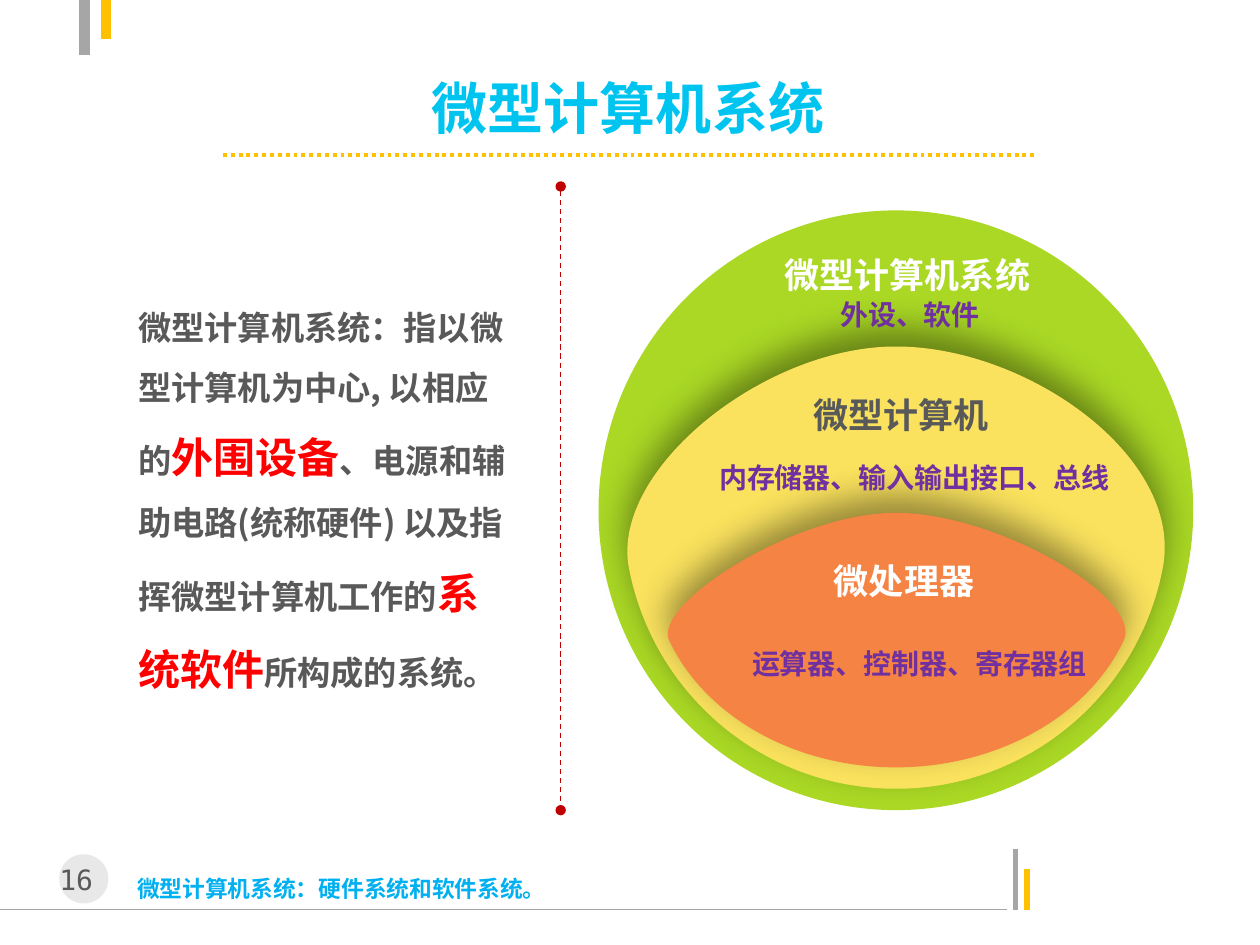
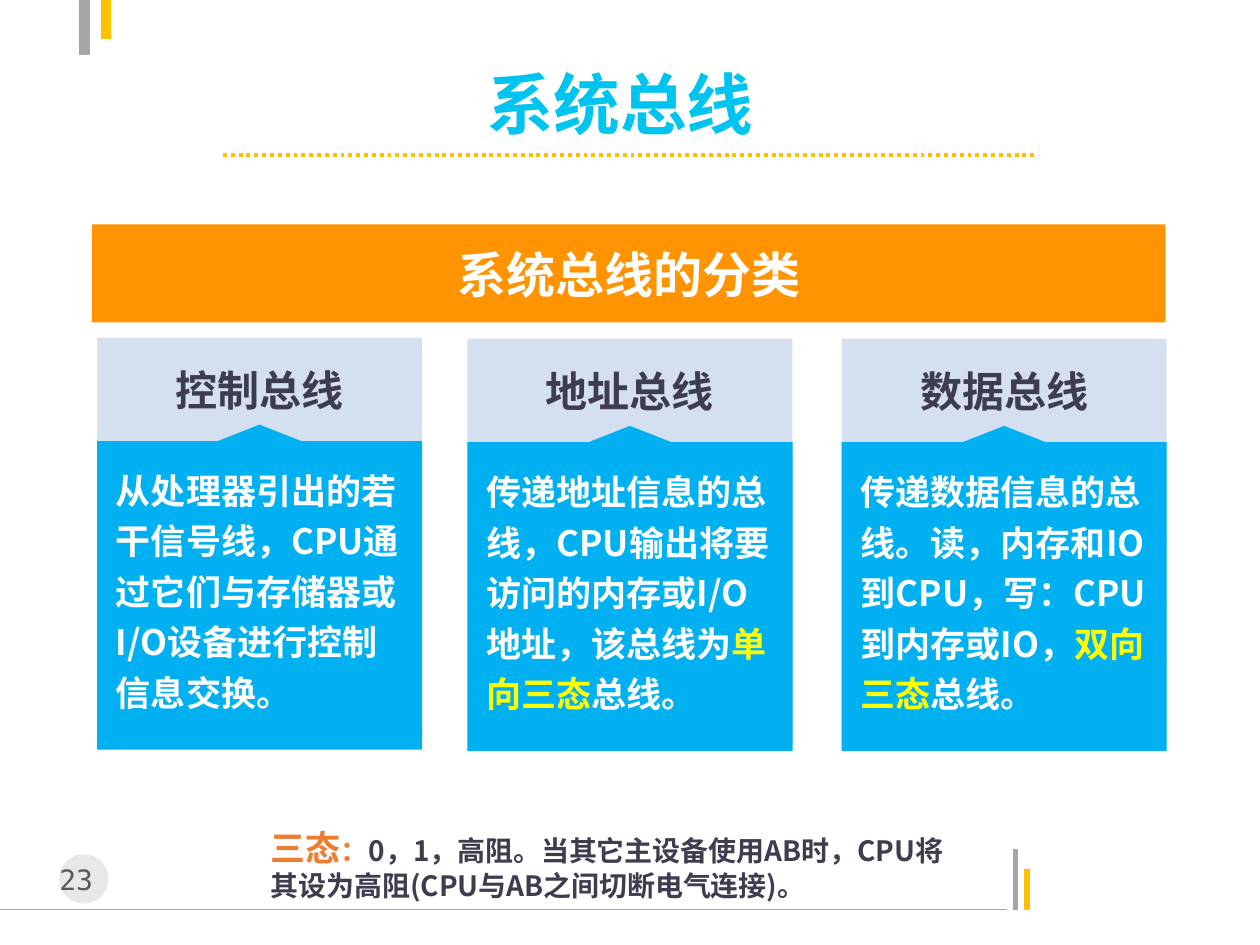
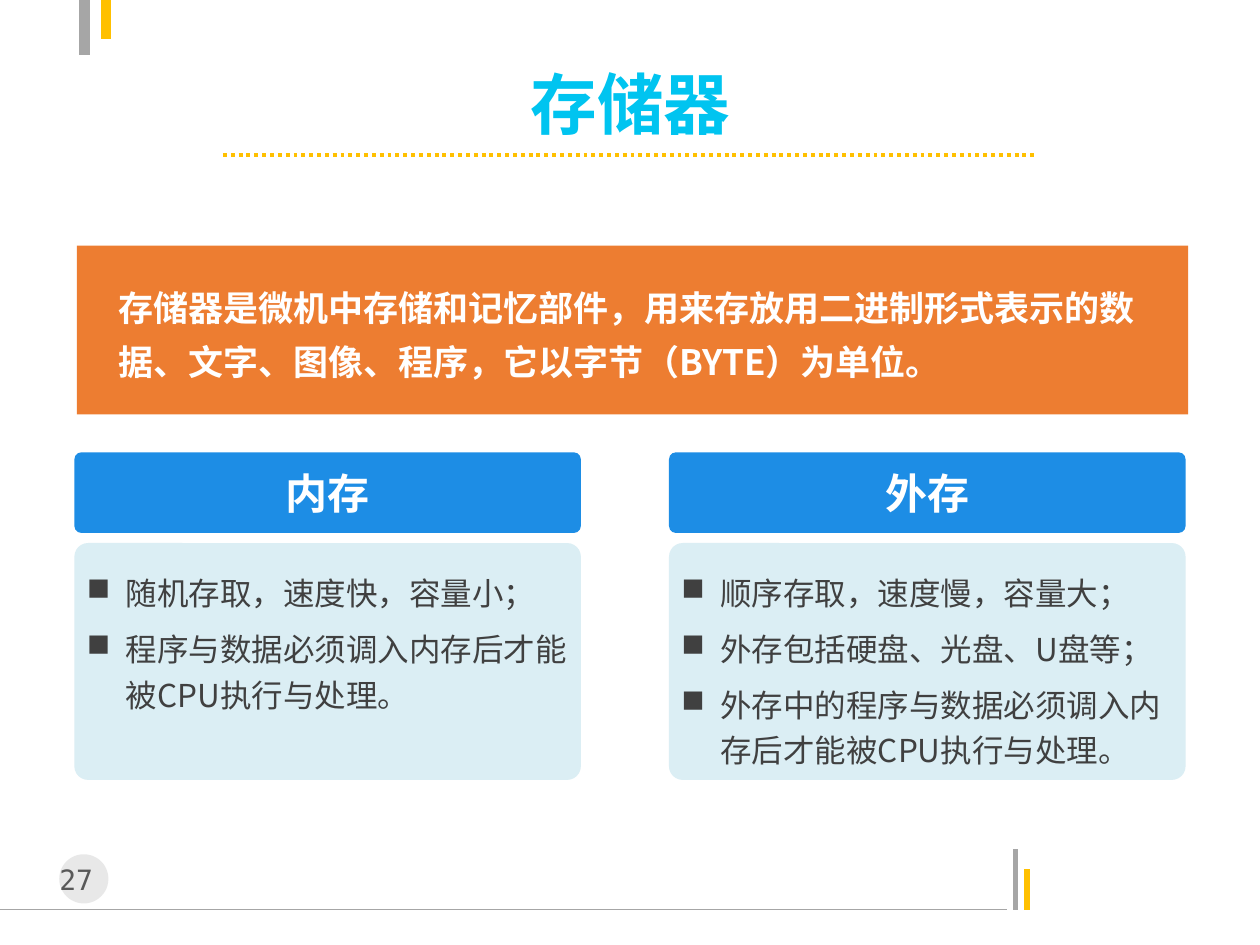
from lxml import etree
from pptx import Presentation
from pptx.dml.color import RGBColor
from pptx.enum import dml, shapes, text
from pptx.oxml import ns
from pptx.util import Inches, Pt

CJK, LATIN, MONO = "Noto Sans CJK SC", "Calibri", "DejaVu Sans Mono"
WHITE, GRAY, DARK, GOLD = "FFFFFF", "A6A6A6", "595959", "FFC000"
CYAN, SKY, BLUE, ICE = "00C4F0", "00B0F0", "1D8DE5", "DBEEF4"
ORANGE, AMBER, NAVY, PURPLE = "ED7D31", "FF9300", "3E3D4F", "7030A0"
RED, YELLOW = "FF0000", "FFFF00"
LEFT, CENTER = text.PP_ALIGN.LEFT, text.PP_ALIGN.CENTER
TOP, MIDDLE = text.MSO_ANCHOR.TOP, text.MSO_ANCHOR.MIDDLE
RECT, ROUND, OVAL = (shapes.MSO_SHAPE.RECTANGLE, shapes.MSO_SHAPE.ROUNDED_RECTANGLE,
                     shapes.MSO_SHAPE.OVAL)


def rgb(color):
    return RGBColor.from_string(color)


def sub(parent, tag, **attrs):
    el = etree.SubElement(parent, ns.qn(tag))
    for name, value in attrs.items():
        el.set(name, str(value))
    return el


def paint(sp, color, alpha=None):
    """Fill a shape without outline or shadow; alpha is the opacity in percent."""
    sp.shadow.inherit = False
    sp.line.fill.background()
    sp.fill.solid()
    sp.fill.fore_color.rgb = rgb(color)
    if alpha:
        clr = sp._element.spPr.find(".//" + ns.qn("a:srgbClr"))
        sub(clr, "a:alpha", val=alpha * 1000)
    return sp


def add_block(slide, kind, box, color, alpha=None, radius=None):
    sp = slide.shapes.add_shape(kind, *map(Inches, box))
    if radius:
        sp.adjustments[0] = radius
    return paint(sp, color, alpha)


def add_outline(slide, points, color):
    builder = slide.shapes.build_freeform(*map(Inches, points[0]), scale=1.0)
    builder.add_line_segments([tuple(map(Inches, pt)) for pt in points[1:]])
    return paint(builder.convert_to_shape(), color)


def add_curve(slide, start, segments, color):
    """Closed outline of cubic curves, each (control, control, end)."""
    sp = add_outline(slide, [start] + [seg[-1] for seg in segments], color)
    edges = sp._element.spPr.findall(".//" + ns.qn("a:lnTo"))
    for edge, seg in zip(edges, segments):
        edge.tag = ns.qn("a:cubicBezTo")
        edge.remove(edge[0])
        for x, y in seg:
            sub(edge, "a:pt", x=Inches(x) - sp.left, y=Inches(y) - sp.top)
    return sp


def add_line(slide, start, end, color, width, dash=None, ends=None):
    cn = slide.shapes.add_connector(shapes.MSO_CONNECTOR.STRAIGHT, *map(Inches, start + end))
    cn.line.color.rgb = rgb(color)
    cn.line.width = Pt(width)
    if dash:
        cn.line.dash_style = dash
    if ends:
        ln = cn.line._get_or_add_ln()
        sub(ln, "a:headEnd", type=ends)
        sub(ln, "a:tailEnd", type=ends)
    sub(cn._element.spPr, "a:effectLst")


def write(sp, *paragraphs, size=18, color=DARK, font=CJK, bold=True, align=LEFT, anchor=TOP,
          wrap=True, inset=0.1, spacing=None, before=0, after=0, bullet=False):
    """Fill a shape with paragraphs; each is a string or a list of (text, overrides)."""
    tf = sp.text_frame
    tf.word_wrap, tf.vertical_anchor = wrap, anchor
    tf.margin_left = tf.margin_right = Inches(inset)
    tf.margin_top = tf.margin_bottom = Inches(0.05)
    for i, runs in enumerate(paragraphs):
        p = tf.add_paragraph() if i else tf.paragraphs[0]
        p.alignment = align
        if spacing:
            p.line_spacing = spacing
        p.space_before, p.space_after = Pt(before if i else 0), Pt(after)
        if bullet:
            pPr = p._p.get_or_add_pPr()
            pPr.set("marL", str(Inches(0.31)))
            pPr.set("indent", str(-Inches(0.31)))
            sub(pPr, "a:buFont", typeface="Wingdings", charset=2)
            sub(pPr, "a:buChar", char="n")
        for words, own in [(runs, {})] if isinstance(runs, str) else runs:
            r = p.add_run()
            r.text = words
            r.font.size = Pt(own.get("size", size))
            r.font.bold, r.font.name = bold, font
            r.font.color.rgb = rgb(own.get("color", color))
            sub(r._r.get_or_add_rPr(), "a:ea", typeface=CJK)


def add_text(slide, box, *paragraphs, **fmt):
    write(slide.shapes.add_textbox(*map(Inches, box)), *paragraphs, **fmt)


def new_slide(prs, number, title, title_box, size, align=CENTER):
    """Add a blank slide with the corner bars, page number and underlined title."""
    slide = prs.slides.add_slide(prs.slide_layouts[6])
    base = 7.22
    add_line(slide, (0, base), (7.99, base), GRAY, 0.75)
    for x, top, color in ((8.06, 6.74, GRAY), (8.15, 6.9, GOLD)):
        add_line(slide, (x, base), (x, top), color, 3)
    for x, bottom, color in ((0.67, 0.44, GRAY), (0.84, 0.31, GOLD)):
        add_line(slide, (x, 0), (x, bottom), color, 6)
    add_block(slide, OVAL, (0.47, 6.78, 0.39, 0.39), "BFBFBF", alpha=35)
    add_text(slide, (0.25, 6.8, 0.71, 0.37), str(number), size=16, font=MONO, bold=False,
             align=CENTER)
    add_line(slide, (1.77, 1.23), (8.23, 1.23), GOLD, 2.25, dash=dml.MSO_LINE.ROUND_DOT)
    add_text(slide, title_box, title, size=size, color=CYAN, align=align, anchor=MIDDLE)
    return slide


def glow_up(sp):
    """Soft dark shadow cast upwards."""
    effects = sp._element.spPr.find(ns.qn("a:effectLst"))
    shadow = sub(effects, "a:outerShdw", blurRad=Pt(20), dist=Pt(10), dir=270 * 60000,
                 algn="ctr", rotWithShape=0)
    sub(sub(shadow, "a:srgbClr", val="000000"), "a:alpha", val=40000)


def nested_layers(slide, left, top):
    """Three nested ovals with their captions, in a box of 4.72 by 4.76."""
    def at(x, y):
        return left + x, top + y

    add_block(slide, OVAL, (left, top, 4.72, 4.76), "AAD825")
    computer = [(at(0.43, 3.84), at(1.31, 4.59), at(2.36, 4.59)),
                (at(3.41, 4.59), at(4.29, 3.84), at(4.48, 2.83)),
                (at(4.64, 1.96), at(3.41, 1.08), at(2.36, 1.08)),
                (at(1.31, 1.08), at(0.1, 2.06), at(0.24, 2.83))]
    processor = [(at(0.84, 4.01), at(1.55, 4.42), at(2.36, 4.42)),
                 (at(3.17, 4.42), at(3.89, 4.01), at(4.17, 3.41)),
                 (at(4.32, 3.08), at(3.17, 2.4), at(2.36, 2.4)),
                 (at(1.55, 2.4), at(0.43, 3.13), at(0.56, 3.41))]
    for segments, color in ((computer, "FAE25E"), (processor, "F58344")):
        glow_up(add_curve(slide, segments[-1][-1], segments, color))
    for x, y, w, words, color in ((1.38, 0.29, 2.17, "微型计算机系统", WHITE),
                                  (1.77, 2.72, 1.32, "微处理器", WHITE),
                                  (1.61, 1.4, 1.6, "微型计算机", DARK)):
        add_text(slide, (*at(x, y), w, 0.44), words, size=20, color=color, font=LATIN, wrap=False)
    for x, y, w, words in ((1.12, 3.41, 2.89, "运算器、控制器、寄存器组"),
                           (0.86, 1.94, 3.34, "内存储器、输入输出接口、总线"),
                           (1.82, 0.64, 1.32, "外设、软件")):
        add_text(slide, (*at(x, y), w, 0.37), words, size=16, color=PURPLE, font=LATIN, wrap=False)


def system_slide(prs):
    slide = new_slide(prs, 16, "微型计算机系统", (2.69, 0.6, 4.59, 0.5), 32)
    key = dict(size=24, color=RED)
    add_text(slide, (1, 2.23, 3.15, 3.36),
             [("微型计算机系统：指以微型计算机为中心, 以相应的", {}), ("外围设备", key),
              ("、电源和辅助电路(统称硬件) 以及指挥微型计算机工作的", {}), ("系统软件", key),
              ("所构成的系统。", {})], size=19, spacing=1.5)
    add_text(slide, (0.99, 6.58, 7.16, 0.63), "微型计算机系统：硬件系统和软件系统。",
             size=13, color=SKY, spacing=Pt(38))
    nested_layers(slide, 4.75, 1.67)
    add_line(slide, (4.45, 1.48), (4.45, 6.43), "C00000", 0.75, dash=dml.MSO_LINE.DASH, ends="oval")


def bus_card(slide, left, top, name, body):
    w, peak, bottom = 2.58, 0.69, 3.27
    shoulder, mid = peak + 0.13, w / 2
    add_block(slide, RECT, (left, top, w, 3.22), "95B3D7", alpha=40)
    corners = ((mid, peak), (mid + 0.33, shoulder), (w, shoulder), (w, bottom),
               (0, bottom), (0, shoulder), (mid - 0.33, shoulder))
    sp = add_outline(slide, [(left + x, top + y) for x, y in corners], SKY)
    write(sp, body, size=20, color=WHITE, anchor=MIDDLE, inset=0.15, spacing=1.2)
    add_text(slide, (left, top + 0.16, w, 0.5), name, size=24, color=NAVY, align=CENTER)


def bus_slide(prs):
    slide = new_slide(prs, 23, "系统总线", (3.77, 0.57, 2.47, 0.5), 38, align=LEFT)
    banner = add_block(slide, RECT, (0.73, 1.78, 8.52, 0.78), AMBER)
    write(banner, "系统总线的分类", size=28, color=WHITE, align=CENTER, anchor=MIDDLE)
    key = dict(color=YELLOW)
    bus_card(slide, 0.77, 2.68, "控制总线",
             "从处理器引出的若干信号线，CPU通过它们与存储器或I/O设备进行控制信息交换。")
    bus_card(slide, 3.71, 2.69, "地址总线",
             [("传递地址信息的总线，CPU输出将要访问的内存或I/O地址，该总线为", {}),
              ("单向三态", key), ("总线。", {})])
    bus_card(slide, 6.68, 2.69, "数据总线",
             [("传递数据信息的总线。读，内存和IO到CPU，写：CPU到内存或IO，", {}),
              ("双向三态", key), ("总线。", {})])
    add_text(slide, (2.05, 6.51, 5.63, 0.71),
             [("三态", dict(size=20, color=ORANGE)), ("：", dict(color=ORANGE)),
              ("0，1，高阻。当其它主设备使用AB时，CPU将其设为高阻(CPU与AB之间切断电气连接)。", {})],
             size=16, color=NAVY)


def memory_panel(slide, left, top, width, name, *points):
    add_block(slide, ROUND, (left, top + 0.72, width, 1.88), ICE, radius=0.058)
    head = add_block(slide, ROUND, (left, top, width, 0.64), BLUE, radius=0.087)
    write(head, name, size=24, color=WHITE, font=LATIN, align=CENTER, anchor=MIDDLE)
    add_text(slide, (left, top + 0.86, width, 1.72), *points, color="404040", bold=False,
             spacing=1.2, before=6, bullet=True)


def memory_slide(prs):
    slide = new_slide(prs, 27, "存储器", (3.77, 0.57, 2.47, 0.5), 38)
    memory_panel(slide, 0.59, 3.59, 4.02, "内存", "随机存取，速度快，容量小；",
                 "程序与数据必须调入内存后才能被CPU执行与处理。")
    memory_panel(slide, 5.31, 3.59, 4.1, "外存", "顺序存取，速度慢，容量大；",
                 "外存包括硬盘、光盘、U盘等；",
                 "外存中的程序与数据必须调入内存后才能被CPU执行与处理。")
    add_block(slide, RECT, (0.61, 1.95, 8.82, 1.34), ORANGE)
    add_text(slide, (0.84, 2.13, 8.54, 0.97),
             "存储器是微机中存储和记忆部件，用来存放用二进制形式表示的数据、文字、图像、程序，"
             "它以字节（BYTE）为单位。", size=20, color=WHITE, spacing=1.29, after=6)


def main():
    prs = Presentation()
    prs.slide_width, prs.slide_height = Inches(10), Inches(7.5)
    system_slide(prs)
    bus_slide(prs)
    memory_slide(prs)
    prs.save("out.pptx")


if __name__ == "__main__":
    main()
